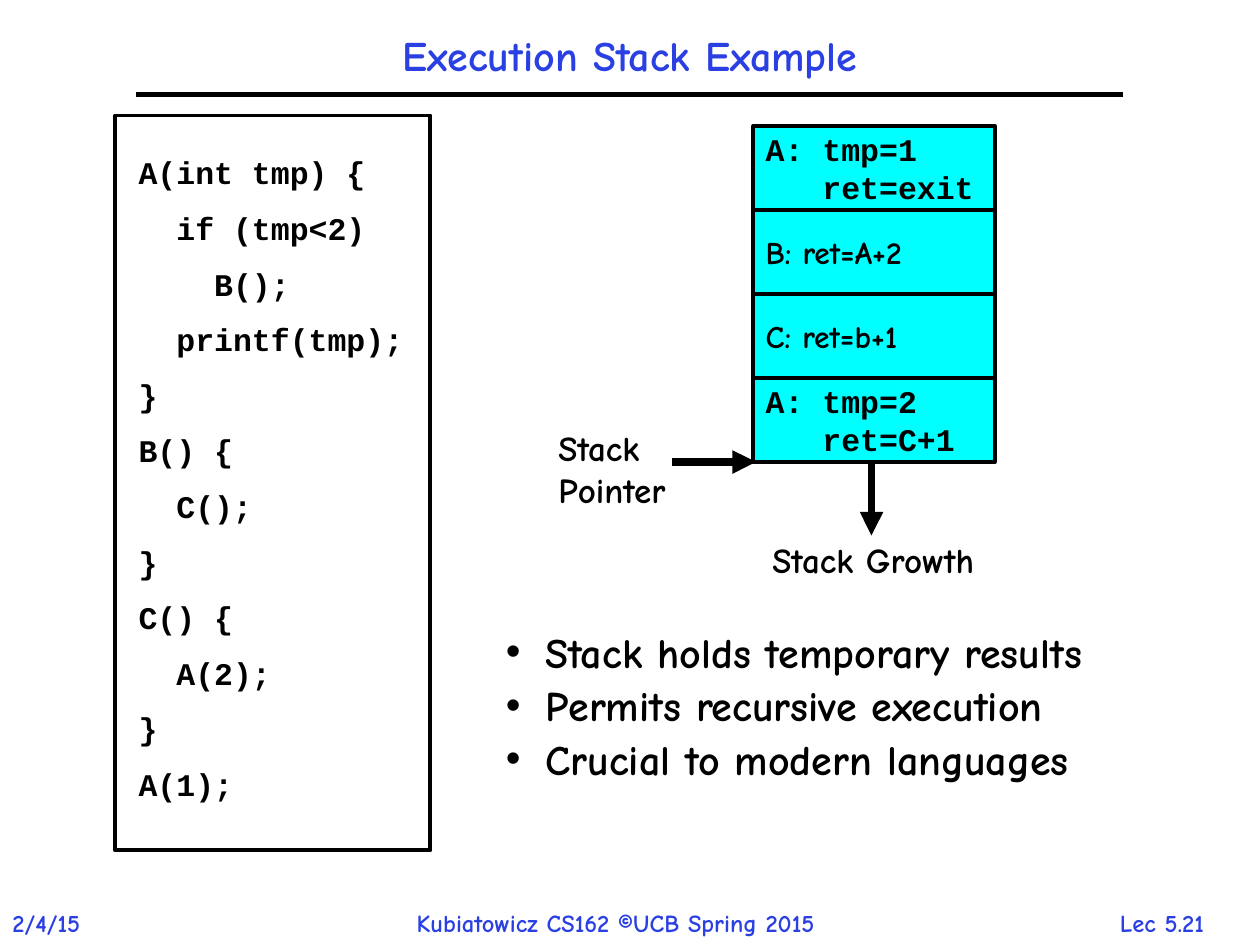
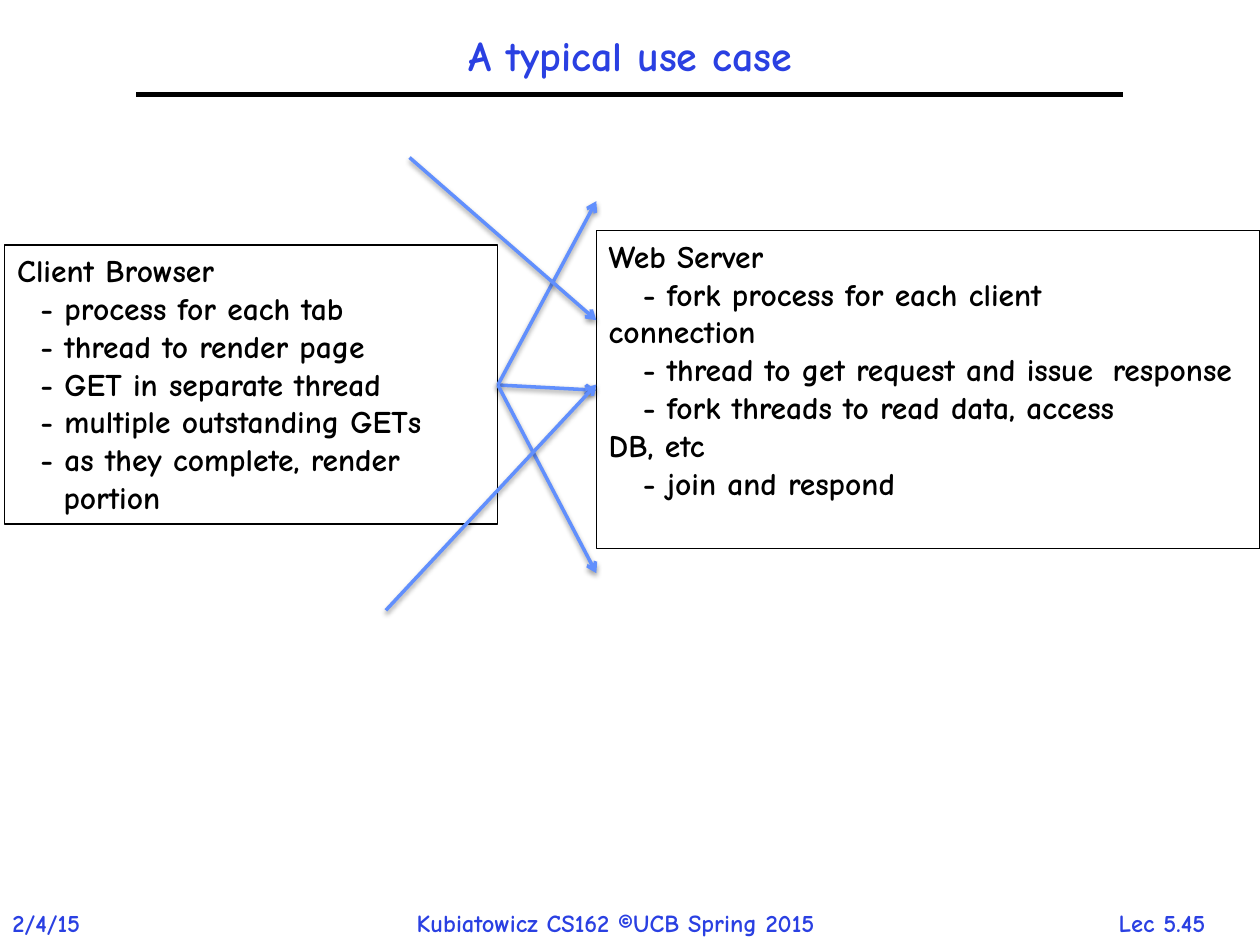
from lxml import etree
from pptx import Presentation
from pptx.dml.color import RGBColor
from pptx.enum import shapes, text
from pptx.oxml import ns
from pptx.util import Pt

COLORS = {"blue": "2A40E2", "black": "000000", "white": "FFFFFF",
          "cyan": "00FFFF", "arrow": "618FFD"}
SANS, MONO = "Comic Neue", "Courier New"
LEFT, CENTER = text.PP_ALIGN.LEFT, text.PP_ALIGN.CENTER
TOP, MIDDLE = text.MSO_ANCHOR.TOP, text.MSO_ANCHOR.MIDDLE


def rgb(name):
    return RGBColor.from_string(COLORS[name])


def add_xml(parent, tag, **attributes):
    return etree.SubElement(parent, ns.qn(tag), attributes)


# Text
def setup_frame(frame, anchor=TOP, insets=(7.2, 3.6)):
    frame.word_wrap = True
    frame.auto_size = text.MSO_AUTO_SIZE.NONE
    frame.vertical_anchor = anchor
    frame.margin_left, frame.margin_top = Pt(insets[0]), Pt(insets[1])
    frame.margin_right, frame.margin_bottom = Pt(7.2), Pt(3.6)


def indent(paragraph, margin, first, bullet=None, tab=None):
    properties = paragraph._p.get_or_add_pPr()
    properties.set("marL", str(Pt(margin)))
    properties.set("indent", str(Pt(first)))
    if bullet:
        add_xml(properties, "a:buFont", typeface="Arial")
        add_xml(properties, "a:buChar", char=bullet)
    if tab:
        tabs = add_xml(properties, "a:tabLst")
        add_xml(tabs, "a:tab", pos=str(Pt(tab)), algn="l")


def write(frame, lines, size, font=SANS, color="black", align=LEFT,
          before=0, spacing=None):
    """One paragraph per line; a newline inside a line is a soft break."""
    for index, line in enumerate(lines):
        paragraph = frame.paragraphs[0] if index == 0 else frame.add_paragraph()
        paragraph.alignment = align
        if index and before:
            paragraph.space_before = Pt(before)
        if spacing:
            paragraph.line_spacing = spacing
        for part_index, part in enumerate(line.split("\n")):
            if part_index:
                paragraph.add_line_break()
            run = paragraph.add_run()
            run.text = part
            run.font.name, run.font.size, run.font.bold = font, Pt(size), True
            run.font.color.rgb = rgb(color)


def add_label(slide, box, lines, size, **style):
    shape = slide.shapes.add_textbox(*map(Pt, box))
    setup_frame(shape.text_frame)
    write(shape.text_frame, lines, size, **style)
    return shape


# Shapes
def add_box(slide, box, lines, fill=None, width=2.25, anchor=TOP,
            insets=(7.2, 3.6), **style):
    shape = slide.shapes.add_shape(shapes.MSO_SHAPE.RECTANGLE, *map(Pt, box))
    shape.shadow.inherit = False
    if fill:
        shape.fill.solid()
        shape.fill.fore_color.rgb = rgb(fill)
    else:
        shape.fill.background()
    shape.line.color.rgb = rgb("black")
    shape.line.width = Pt(width)
    setup_frame(shape.text_frame, anchor, insets)
    write(shape.text_frame, lines, 18, **style)
    return shape


def add_line(slide, start, end, width, color="black", head=None, shadow=False):
    line = slide.shapes.add_connector(
        shapes.MSO_CONNECTOR.STRAIGHT, *map(Pt, (*start, *end)))
    line.line.color.rgb = rgb(color)
    line.line.width = Pt(width)
    if head:
        add_xml(line.line._get_or_add_ln(), "a:tailEnd", type=head)
    effects = add_xml(line._element.spPr, "a:effectLst")
    if shadow:
        outer = add_xml(effects, "a:outerShdw", blurRad=str(Pt(3.1)),
                        dist=str(Pt(1.6)), dir="5400000", rotWithShape="0")
        shade = add_xml(outer, "a:srgbClr", val=COLORS["black"])
        add_xml(shade, "a:alpha", val="38000")


# Title, rule and footers shared by every slide
def add_slide(presentation, heading, number):
    slide = presentation.slides.add_slide(presentation.slide_layouts[5])
    title = slide.shapes.title
    title.left, title.top, title.width, title.height = map(Pt, (78, 12, 564, 42))
    setup_frame(title.text_frame, MIDDLE)
    write(title.text_frame, [heading], 24, color="blue", align=CENTER, spacing=0.9)
    add_line(slide, (78, 54), (642, 54), 3)
    footers = [(0, 64, "2/4/15", LEFT),
               (231, 279, "Kubiatowicz CS162 ©UCB Spring 2015", LEFT),
               (620.5, 87, f"Lec {number}", CENTER)]
    for left, width, words, align in footers:
        add_label(slide, (left, 515.5, width, 24), [words], 14,
                  color="blue", align=align)
    return slide


def build_stack_slide(presentation):
    slide = add_slide(presentation, "Execution Stack Example", "5.21")

    # Bullets
    notes = add_label(slide, (282, 360, 402, 102),
                      ["Stack holds temporary results",
                       "Permits recursive execution",
                       "Crucial to modern languages"],
                      24, before=7.5, spacing=0.8)
    for paragraph in notes.text_frame.paragraphs:
        indent(paragraph, 22.5, -22.5, bullet="•")

    # Program
    program = ["A(int tmp) {", "  if (tmp<2)", "    B();", "  printf(tmp);", "}",
               "B() {", "  C();", "}",
               "C() {", "  A(2);", "}", "A(1);"]
    add_box(slide, (66, 66, 180, 420), program, fill="white",
            insets=(13.2, 21.6), font=MONO, before=10.2)

    # Stack frames
    left, top, width, height = 430.5, 72, 138, 48
    frames = [(["A: tmp=1", "   ret=exit"], MONO),
              (["B: ret=A+2"], SANS),
              (["C: ret=b+1"], SANS),
              (["A: tmp=2", "   ret=C+1"], MONO)]
    for index, (lines, font) in enumerate(frames):
        add_box(slide, (left, top + index * height, width, height), lines,
                fill="cyan", anchor=MIDDLE, font=font)

    # Pointer and growth direction
    bottom = top + len(frames) * height
    add_label(slide, (312, 240, 82, 55), ["Stack", "Pointer"], 20)
    add_line(slide, (384, bottom), (432, bottom), 4.5, head="triangle")
    add_line(slide, (498, bottom), (498, 306), 4.5, head="triangle")
    add_label(slide, (425.5, 304, 147, 31), ["Stack Growth"], 20, align=CENTER)


def build_use_case_slide(presentation):
    slide = add_slide(presentation, "A typical use case", "5.45")

    # Client and server
    client = add_box(slide, (2.75, 140, 281.75, 159.5),
                     ["Client Browser", "- process for each tab",
                      "- thread to render page", "- GET in separate thread",
                      "- multiple outstanding GETs",
                      "- as they complete, render portion"], width=0.75)
    server = add_box(slide, (340.75, 131.75, 379.25, 181.5),
                     ["Web Server", "- fork process for each client\nconnection",
                      "- thread to get request and issue \tresponse",
                      "- fork threads to read data, access\nDB, etc",
                      "- join and respond"], width=0.75)
    for paragraph in client.text_frame.paragraphs[1:]:
        indent(paragraph, 26.5, -13.25)
    for paragraph in server.text_frame.paragraphs[1:]:
        indent(paragraph, 0, 19.5, tab=288)

    # Requests
    client_side, server_side = (284.5, 220), 340.75
    requests = [(client_side, 223), (client_side, 115), (client_side, 327.5),
                ((220.5, 348.75), 219.75), ((234, 90), 183)]
    for start, end_y in requests:
        add_line(slide, start, (server_side, end_y), 2, color="arrow",
                 head="arrow", shadow=True)


def main():
    presentation = Presentation()
    presentation.slide_width, presentation.slide_height = Pt(720), Pt(540)
    build_stack_slide(presentation)
    build_use_case_slide(presentation)
    presentation.save("out.pptx")


if __name__ == "__main__":
    main()
